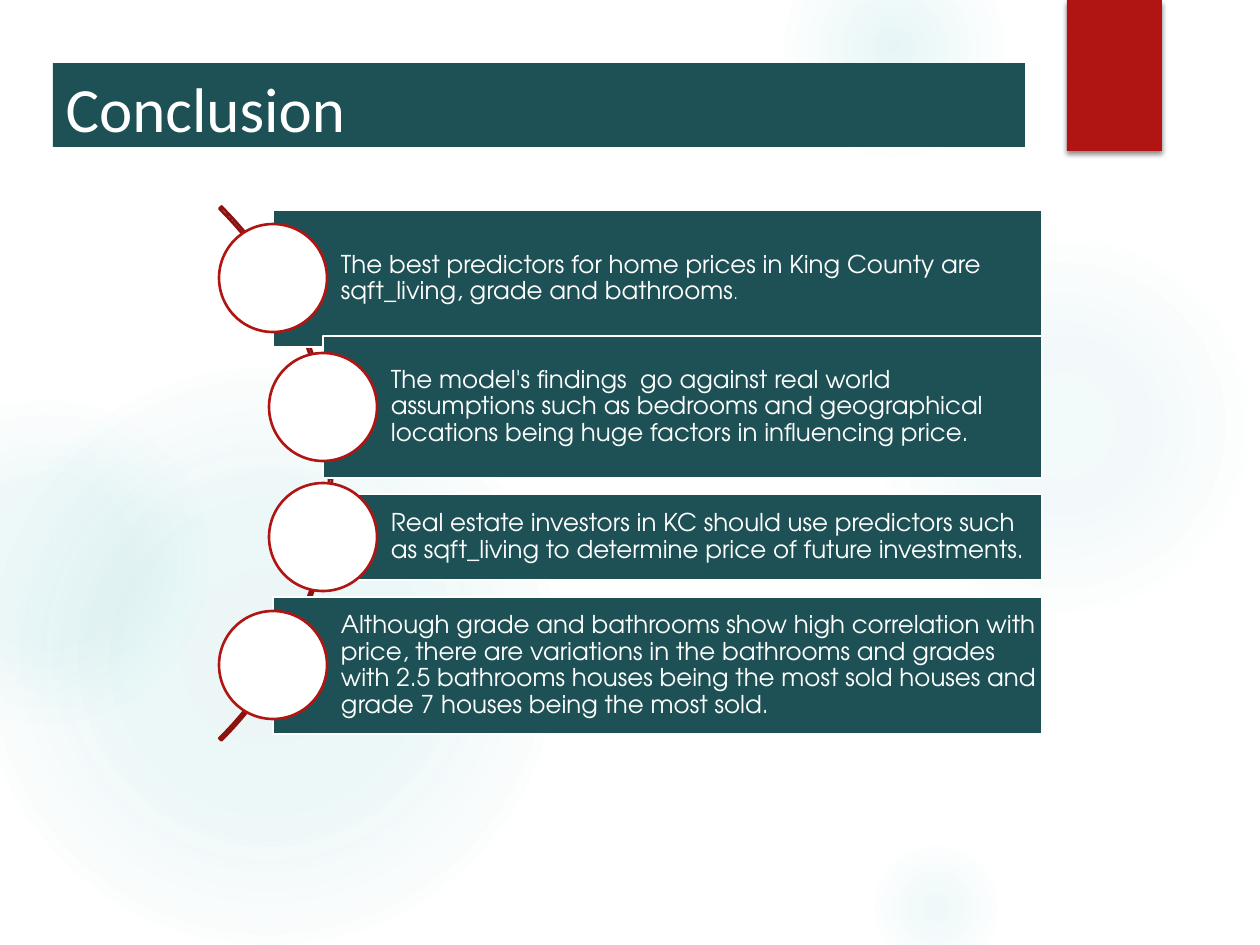
"""Build the conclusion slide: a title, a red tab and four bars along an arc."""
from pptx import Presentation
from pptx.dml.color import RGBColor as RGB
from pptx.enum.shapes import MSO_SHAPE as Kind
from pptx.enum.text import MSO_ANCHOR as Anchor, MSO_AUTO_SIZE as Auto, PP_ALIGN as Align
from pptx.oxml import parse_xml
from pptx.util import Emu, Pt

TEAL = RGB(0x1E, 0x51, 0x55)
RED = RGB(0xB0, 0x15, 0x13)
DARK = RGB(0x8D, 0x11, 0x0F)
AQUA = RGB(0x50, 0xB9, 0xC1)
BLACK = RGB(0, 0, 0)
WHITE = RGB(0xFF, 0xFF, 0xFF)
NS = 'xmlns:a="http://schemas.openxmlformats.org/drawingml/2006/main"'

GLOWS = [
    (868, 231, 388, [(0, 7), (36, 6), (69, 0)]),
    (784, -63, 220, [(0, 14), (36, 7), (73, 0)]),
    (868, 840, 136, [(0, 9), (36, 5), (66, 0)]),
    (-21, 368, 577, [(0, 11), (36, 10), (75, 0)]),
    (-116, 399, 325, [(0, 8), (36, 8), (72, 0)]),
]
RIGHT = 1042
BARS = [
    (273, 210, 137, ["The best predictors for home prices in King County are "
                     "sqft_living, grade and bathrooms", "."]),
    (323, 336, 142, ["The model's findings  go against real world assumptions such as "
                     "bedrooms and geographical locations being huge factors in "
                     "influencing price."]),
    (323, 494, 86, ["Real estate investors in KC should use predictors such as "
                    "sqft_living to determine price of future investments."]),
    (273, 597, 137, ["Although grade and bathrooms show high correlation with price, "
                     "there are variations in the bathrooms and grades with 2.5 "
                     "bathrooms houses being the most sold houses and grade 7 houses "
                     "being the most sold."]),
]


def px(num):
    """Turn pixels into EMU."""
    return Emu(round(num * 914400 / 126))


class Deck:
    """Hold the style and the current slide."""

    head = "Calibri"
    body = "TeX Gyre Adventor"
    ring = 108

    def __init__(self):
        """Start a deck with one title-only slide."""
        self.prs = Presentation()
        self.prs.slide_width, self.prs.slide_height = px(1260), px(945)
        self.slide = self.prs.slides.add_slide(self.prs.slide_layouts[5])

    def shape(self, kind, box, fill=None, line=None):
        """Add a preset shape with a plain fill and line."""
        item = self.slide.shapes.add_shape(kind, *map(px, box))
        item.shadow.inherit = False
        if fill is None:
            item.fill.background()
        else:
            item.fill.solid()
            item.fill.fore_color.rgb = fill
        if line is None:
            item.line.fill.background()
        else:
            item.line.color.rgb = line
            item.line.width = Pt(1.5)
        return item

    def glow(self, left, top, size, stops):
        """Add a soft round glow that fades outwards."""
        item = self.shape(Kind.OVAL, (left, top, size, size))
        marks = "".join(
            f'<a:gs pos="{pos * 1000}"><a:srgbClr val="{AQUA}">'
            f'<a:alpha val="{alpha * 1000}"/></a:srgbClr></a:gs>'
            for pos, alpha in stops)
        grad = parse_xml(
            f'<a:gradFill {NS}><a:gsLst>{marks}</a:gsLst><a:path path="circle">'
            '<a:fillToRect l="50000" t="50000" r="50000" b="50000"/></a:path></a:gradFill>')
        props = item.element.spPr
        props.replace(props.find("{*}noFill"), grad)

    def tab(self, box):
        """Add the red tab with its shadow."""
        item = self.shape(Kind.RECTANGLE, box, RED)
        item.element.spPr.find("{*}effectLst").append(parse_xml(
            f'<a:outerShdw {NS} blurRad="{Pt(3)}" dist="{Pt(2)}" dir="5400000" '
            f'rotWithShape="0"><a:srgbClr val="{BLACK}"><a:alpha val="45000"/>'
            '</a:srgbClr></a:outerShdw>'))

    def font(self, run, name, size):
        """Format a run in white."""
        run.font.name, run.font.size = name, Pt(size)
        run.font.color.rgb = WHITE

    def title(self, text, box):
        """Place the title in front of the glows."""
        item = self.slide.shapes.title
        item.left, item.top, item.width, item.height = map(px, box)
        item.fill.solid()
        item.fill.fore_color.rgb = TEAL
        frame = item.text_frame
        frame.text = text
        frame.auto_size, frame.vertical_anchor = Auto.NONE, Anchor.TOP
        para = frame.paragraphs[0]
        para.alignment = Align.LEFT
        self.font(para.runs[0], self.head, 36)
        item.element.getparent().append(item.element)

    def arc(self, box):
        """Add the thin arc behind the bars."""
        item = self.shape(Kind.BLOCK_ARC, box, line=DARK)
        for num, val in enumerate((189, 27, 0.004)):
            item.adjustments[num] = val

    def bar(self, left, top, high, parts):
        """Add a text bar and the ring centred on its left side."""
        item = self.shape(Kind.RECTANGLE, (left, top, RIGHT - left, high), TEAL, WHITE)
        frame = item.text_frame
        frame.word_wrap, frame.vertical_anchor = True, Anchor.MIDDLE
        frame.margin_left = px(68)
        frame.margin_top = frame.margin_right = frame.margin_bottom = px(5)
        para = frame.paragraphs[0]
        para.alignment, para.line_spacing = Align.LEFT, 0.9
        for text, size in zip(parts, (14, 9)):
            run = para.add_run()
            run.text = text
            self.font(run, self.body, size)
        half = self.ring // 2
        box = (left - half, top + high // 2 - half, self.ring, self.ring)
        self.shape(Kind.OVAL, box, WHITE, RED)


def main():
    """Draw the slide and save it."""
    deck = Deck()
    for glow in GLOWS:
        deck.glow(*glow)
    deck.tab((1067, 0, 95, 151))
    deck.title("Conclusion", (53, 63, 972, 84))
    deck.arc((-423, 96, 755, 755))
    for bar in BARS:
        deck.bar(*bar)
    deck.prs.save("out.pptx")


if __name__ == "__main__":
    main()
